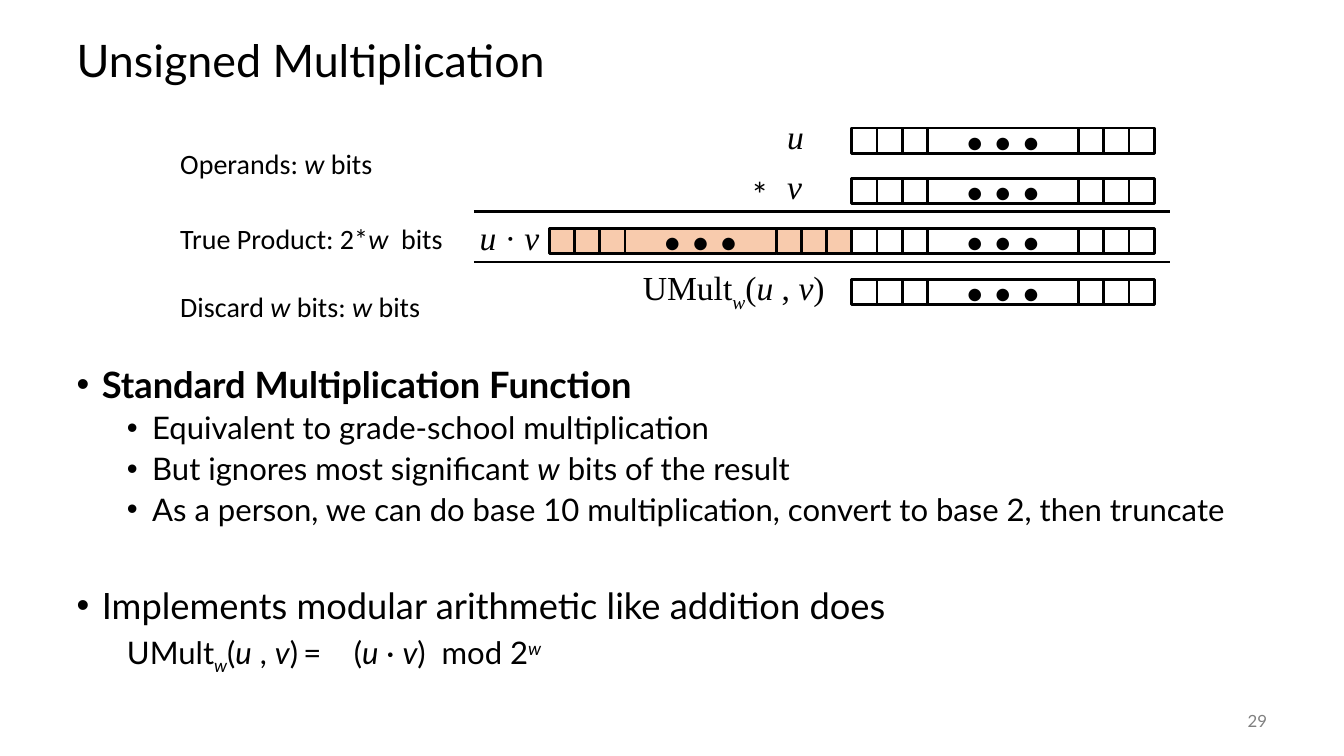
import pptx
import pptx.util
import pptx.dml.color
import pptx.enum.shapes
import pptx.enum.text
import pptx.oxml.ns
import lxml.etree

Pt = pptx.util.Pt
ALIGN = pptx.enum.text.PP_ALIGN
ANCHOR = pptx.enum.text.MSO_ANCHOR
FIT = pptx.enum.text.MSO_AUTO_SIZE
SHAPE = pptx.enum.shapes.MSO_SHAPE
LINK = pptx.enum.shapes.MSO_CONNECTOR

BLACK, WHITE, PEACH, GRAY = "000000", "FFFFFF", "F8CBAD", "808080"
SERIF = "Times New Roman"

TITLE = "Unsigned Multiplication"
CALL = [("UMult", ""), ("w", "i_"), ("(", ""), ("u", "i"), (" , ", ""), ("v", "i")]

# level, bullet, space before, runs
BODY = [
    (0, True, 0, [("Standard Multiplication Function", "b")]),
    (1, True, 5, [("Equivalent to grade-school multiplication", "")]),
    (1, True, 5, [("But ignores most significant ", ""), ("w", "i"),
                  (" bits of the result", "")]),
    (1, True, 5, [("As a person, we can do base 10 multiplication, "
                   "convert to base 2, then truncate", "")]),
    (0, True, 43, [("Implements modular arithmetic like addition does", "")]),
    (1, False, 5, CALL + [(")\t=\t(", ""), ("u", "i"), (" · ", ""), ("v", "i"),
                          (")  mod 2", ""), ("w", "i^")]),
]
SIZES = (25.9, 22.2)
INDENTS = (18, 54)
TABS = (144, 180, 239, 270)

LABELS = [
    (121.7, 100.8, 153.4, 20, "Calibri", ALIGN.LEFT,
     [("Operands: ", ""), ("w", "i"), (" bits", "")]),
    (121.7, 154.8, 203.8, 20, "Calibri", ALIGN.LEFT,
     [("True Product: 2*", ""), ("w", "i"), ("  bits", "")]),
    (121.7, 203, 192.2, 20, "Calibri", ALIGN.LEFT,
     [("Discard ", ""), ("w", "i"), (" bits: ", ""), ("w", "i"), (" bits", "")]),
    (555.1, 79.2, 26.6, 24, SERIF, ALIGN.LEFT, [("u", "i")]),
    (555.1, 115.2, 25.2, 24, SERIF, ALIGN.LEFT, [("v", "i")]),
    (530.6, 121, 28.1, 24, "Lato", ALIGN.LEFT, [("*", "")]),
    (334.8, 151.2, 57.6, 24, SERIF, ALIGN.RIGHT,
     [("u ", "i"), ("· ", ""), ("v", "i")]),
    (449.3, 187.2, 146.9, 24, SERIF, ALIGN.RIGHT, CALL + [(")", "")]),
]

BIT, WIDE = 18, 108
WORD = 6 * BIT + WIDE
LOW, TOP, STEP = 608.4, 91.4, 36
WORDS = [(LOW, row, WHITE) for row in range(4)] + [(LOW - WORD, 2, PEACH)]
DOTS = "• • •"
RULES = (151.2, 187.2)


def color(code):
    return pptx.dml.color.RGBColor.from_string(code)


def write(para, runs, size, face, ink=BLACK):
    for text, style in runs:
        run = para.add_run()
        run.text = text
        font = run.font
        font.size, font.name = Pt(size), face
        font.bold, font.italic = "b" in style, "i" in style
        font.color.rgb = color(ink)
        if "_" in style:
            font._element.set("baseline", "-25000")
        if "^" in style:
            font._element.set("baseline", "30000")


def place(shape, left, top, width, height):
    shape.left, shape.top = Pt(left), Pt(top)
    shape.width, shape.height = Pt(width), Pt(height)


def child(parent, tag, **attrs):
    return lxml.etree.SubElement(parent, pptx.oxml.ns.qn(tag), attrs)


def fill_body(frame):
    frame.auto_size = FIT.NONE
    frame.vertical_anchor = ANCHOR.TOP
    for num, (level, dot, gap, runs) in enumerate(BODY):
        para = frame.add_paragraph() if num else frame.paragraphs[0]
        para.level = level
        para.line_spacing = 0.9
        para.space_before, para.space_after = Pt(gap), Pt(0)
        props = para._p.get_or_add_pPr()
        props.set("marL", str(Pt(INDENTS[level])))
        props.set("indent", str(-Pt(18)))
        if dot:
            child(props, "a:buFont", typeface="Arial")
            child(props, "a:buChar", char="•")
        else:
            child(props, "a:buNone")
        stops = child(props, "a:tabLst")
        for tab in TABS:
            child(stops, "a:tab", pos=str(Pt(tab)), algn="l")
        write(para, runs, SIZES[level], "Lato")


def add_word(slide, left, row, tint):
    group = slide.shapes.add_group_shape()
    widths = [BIT] * 3 + [WIDE] + [BIT] * 3
    for num, width in enumerate(widths):
        cell = group.shapes.add_shape(
            SHAPE.RECTANGLE, Pt(left + sum(widths[:num])), Pt(TOP + row * STEP),
            Pt(width), Pt(BIT))
        cell.shadow.inherit = False
        cell.fill.solid()
        cell.fill.fore_color.rgb = color(tint)
        cell.line.color.rgb = color(BLACK)
        cell.line.width = Pt(2)
        if width == WIDE:
            frame = cell.text_frame
            frame.word_wrap = False
            frame.vertical_anchor = ANCHOR.MIDDLE
            para = frame.paragraphs[0]
            para.alignment = ALIGN.CENTER
            write(para, [(DOTS, "")], 24, "Lato")


def add_rule(slide, top):
    rule = slide.shapes.add_connector(
        LINK.STRAIGHT, Pt(338.4), Pt(top), Pt(835.9), Pt(top))
    rule.line.color.rgb = color(BLACK)
    rule.line.width = Pt(2)
    child(rule._element.spPr, "a:effectLst")


def add_label(slide, left, top, width, size, face, align, runs):
    box = slide.shapes.add_textbox(
        Pt(left), Pt(top), Pt(width), Pt(size * 1.2 + 7.2))
    frame = box.text_frame
    frame.word_wrap = False
    frame.auto_size = FIT.SHAPE_TO_FIT_TEXT
    para = frame.paragraphs[0]
    para.alignment = align
    write(para, runs, size, face)


def main():
    deck = pptx.Presentation()
    deck.slide_width, deck.slide_height = Pt(960), Pt(540)
    slide = deck.slides.add_slide(deck.slide_layouts[1])

    title, body = slide.placeholders
    place(title, 47.5, 18, 864, 54)
    frame = title.text_frame
    frame.auto_size = FIT.NONE
    frame.vertical_anchor = ANCHOR.MIDDLE
    head = frame.paragraphs[0]
    head.alignment, head.line_spacing = ALIGN.LEFT, 0.9
    write(head, [(TITLE, "")], 32, "Lato")

    place(body, 47.5, 258.5, 864, 227.5)
    fill_body(body.text_frame)

    for word in WORDS:
        add_word(slide, *word)
    for top in RULES:
        add_rule(slide, top)
    for label in LABELS:
        add_label(slide, *label)

    page = slide.shapes.add_textbox(Pt(840.2), Pt(500.4), Pt(72), Pt(28.8))
    page.text_frame.word_wrap = True
    page.text_frame.vertical_anchor = ANCHOR.MIDDLE
    para = page.text_frame.paragraphs[0]
    para.alignment = ALIGN.RIGHT
    write(para, [("29", "")], 12, "Lato", GRAY)

    deck.save("out.pptx")


if __name__ == "__main__":
    main()
